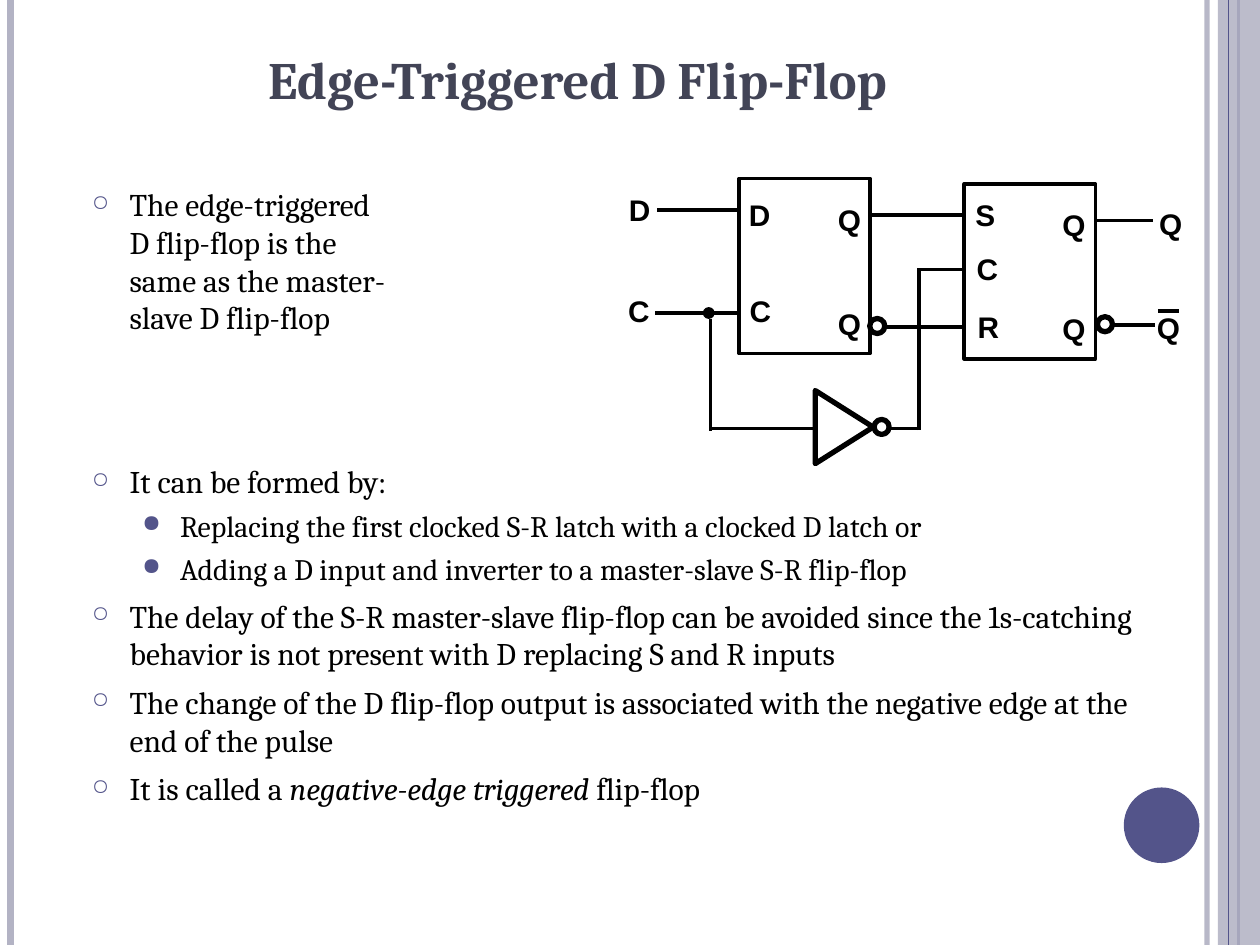
"""Build the slide on the edge-triggered D flip-flop."""
from typing import NamedTuple

from lxml.etree import SubElement
from pptx import Presentation
from pptx.dml.color import RGBColor
from pptx.enum.shapes import MSO_CONNECTOR as Connector, MSO_SHAPE as Shape
from pptx.enum.text import MSO_ANCHOR as Anchor, PP_ALIGN as Align
from pptx.oxml.ns import qn
from pptx.util import Pt

COLORS = {"ink": "000000", "title": "424456", "accent": "53548A", "band": "B3B3C4"}
PAGE_WIDTH, PAGE_HEIGHT = 720, 540
LATCH_WIDTH, LATCH_HEIGHT = 75, 100
BUBBLE = 8.6


class Wire(NamedTuple):
    x1: float
    y1: float
    x2: float
    y2: float
    width: float = 2.1
    color: str = "ink"
    opacity: int = 100


class Block(NamedTuple):
    kind: Shape
    left: float
    top: float
    width: float
    height: float
    fill: str = ""
    line_width: float = 0
    rotation: int = 0
    opacity: int = 100


class Label(NamedTuple):
    text: str
    left: float
    top: float


class Level(NamedTuple):
    bullet: str
    bullet_percent: int
    margin: float
    size: float
    space_before: float


class Point(NamedTuple):
    level: Level
    runs: tuple[str, ...]
    space_before: float = 0


MAIN = Level("○", 70, 21.6, 18, 6)
SUB = Level("●", 80, 50.4, 17, 4.2)

MARGIN_BANDS = [
    Wire(689.8, 0, 689.8, PAGE_HEIGHT, 3, "band", 93),
    Wire(6, 0, 6, PAGE_HEIGHT, 4.5, "band"),
    Wire(707.8, 0, 707.8, PAGE_HEIGHT, 1.5, "accent"),
]
SIDE_PANEL = Block(Shape.RECTANGLE, 696, 0, 24, PAGE_HEIGHT, "band", opacity=87)
PANEL_RULE = Wire(702, 0, 702, PAGE_HEIGHT, 0.75, "accent")
PAGE_DISC = Block(Shape.OVAL, 642.2, 450, 43.2, 43.2, "accent")

POINTS = [
    Point(MAIN, ("The edge-triggered\vD flip-flop is the\vsame as the master-\vslave D flip-flop",)),
    Point(MAIN, ("It can be formed by:",), 72),
    Point(SUB, ("Replacing the first clocked S-R latch with a clocked D latch or",)),
    Point(SUB, ("Adding a D input and inverter to a master-slave S-R flip-flop",)),
    Point(MAIN, ("The delay of the S-R master-slave flip-flop can be avoided since the "
                 "1s-catching behavior is not present with D replacing S and R inputs",)),
    Point(MAIN, ("The change of the D flip-flop output is associated with the negative "
                 "edge at the end of the pulse",)),
    Point(MAIN, ("It is called a ", "negative-edge triggered", " flip-flop")),
]

WIRES = [
    Wire(375.5, 119.9, 421, 119.9),
    Wire(374.5, 178.9, 406.5, 178.9),
    Wire(406.5, 178.9, 422.5, 178.9),
    Wire(406, 246.2, 406, 182.2, 2.25),
    Wire(405.5, 244.8, 466.5, 244.8),
    Wire(508.5, 244.8, 526, 244.8),
    Wire(525.2, 245.8, 525.2, 153.2),
    Wire(524.2, 154.1, 550.8, 154.1),
    Wire(496.2, 122.8, 550.8, 122.8),
    Wire(506.9, 187, 550.8, 187, 2.25),
    Wire(626, 126, 658.8, 126),
    Wire(635.8, 185.8, 660.2, 185.8, 2.25),
    Wire(661.7, 177.8, 673.9, 177.8, 2.25),
]
GATES = [
    Block(Shape.RECTANGLE, 422.3, 102, LATCH_WIDTH, LATCH_HEIGHT, line_width=2),
    Block(Shape.RECTANGLE, 551, 105.1, LATCH_WIDTH, LATCH_HEIGHT, line_width=2),
    Block(Shape.ISOSCELES_TRIANGLE, 461.5, 227.5, 41.8, 33.1, line_width=3, rotation=90),
    *(Block(Shape.OVAL, left, top, BUBBLE, BUBBLE, line_width=3)
      for left, top in [(499.5, 239.7), (497, 182), (627.1, 181)]),
    Block(Shape.OVAL, 402, 175.9, 6, 6, "ink", 0.75),
]
LABELS = [
    Label("D", 359.3, 109.6), Label("C", 358.9, 167.3),
    Label("D", 427.9, 112.3), Label("C", 428.4, 167.3),
    Label("Q", 478.8, 115.2), Label("Q", 478.8, 174.5),
    Label("S", 557.3, 112.3), Label("C", 558, 143.3), Label("R", 558.7, 176.4),
    Label("Q", 607, 118), Label("Q", 607, 177.6),
    Label("Q", 662.4, 117.4), Label("Q", 661, 177.1),
]


def rgb(name: str) -> RGBColor:
    """Look a colour up by its name."""
    return RGBColor.from_string(COLORS[name])


def set_opacity(properties, percent: int) -> None:
    """Give the first solid colour below these properties an opacity."""
    if percent < 100:
        color = next(properties.iter(qn("a:srgbClr")))
        SubElement(color, qn("a:alpha"), val=str(percent * 1000))


def draw_wire(slide, wire: Wire) -> None:
    """Draw one straight line without a shadow."""
    line = slide.shapes.add_connector(
        Connector.STRAIGHT, Pt(wire.x1), Pt(wire.y1), Pt(wire.x2), Pt(wire.y2))
    line.line.color.rgb = rgb(wire.color)
    line.line.width = Pt(wire.width)
    properties = line._element.spPr
    set_opacity(properties, wire.opacity)
    SubElement(properties, qn("a:effectLst"))


def draw_block(slide, block: Block) -> None:
    """Draw one preset shape, filled, outlined or both."""
    shape = slide.shapes.add_shape(
        block.kind, Pt(block.left), Pt(block.top), Pt(block.width), Pt(block.height))
    shape.shadow.inherit = False
    shape.rotation = block.rotation
    if block.fill:
        shape.fill.solid()
        shape.fill.fore_color.rgb = rgb(block.fill)
        set_opacity(shape._element.spPr, block.opacity)
    else:
        shape.fill.background()
    if block.line_width:
        shape.line.color.rgb = rgb("ink")
        shape.line.width = Pt(block.line_width)
    else:
        shape.line.fill.background()


def add_frame(slide, left: float, top: float, width: float, height: float,
              wrap: bool = True, inset: tuple[float, float] = (7.2, 3.6)):
    """Add a text box and return its text frame."""
    frame = slide.shapes.add_textbox(Pt(left), Pt(top), Pt(width), Pt(height)).text_frame
    frame.word_wrap = wrap
    frame.margin_left = frame.margin_right = Pt(inset[0])
    frame.margin_top = frame.margin_bottom = Pt(inset[1])
    return frame


def write(paragraph, text: str, *, size: float, font: str = "Cambria", color: str = "ink",
          bold: bool = False, italic: bool = False) -> None:
    """Append formatted text, breaking the line at each vertical tab."""
    for index, part in enumerate(text.split("\v")):
        if index:
            paragraph.add_line_break()
        run = paragraph.add_run()
        run.text = part
        run.font.size, run.font.name = Pt(size), font
        run.font.bold, run.font.italic = bold, italic
        run.font.color.rgb = rgb(color)


def write_point(paragraph, point: Point) -> None:
    """Write one bullet point, with every second run in italics."""
    level = point.level
    paragraph.level = int(level is SUB)
    paragraph.space_before = Pt(point.space_before or level.space_before)
    properties = paragraph._p.get_or_add_pPr()
    properties.set("marL", str(Pt(level.margin)))
    properties.set("indent", str(Pt(-21.6)))
    SubElement(SubElement(properties, qn("a:buClr")), qn("a:srgbClr"), val=COLORS["accent"])
    SubElement(properties, qn("a:buSzPct"), val=str(level.bullet_percent * 1000))
    SubElement(properties, qn("a:buChar"), char=level.bullet)
    for index, text in enumerate(point.runs):
        write(paragraph, text, size=level.size, italic=index % 2 == 1)


def main() -> None:
    """Build and save the slide."""
    deck = Presentation()
    deck.slide_width, deck.slide_height = Pt(PAGE_WIDTH), Pt(PAGE_HEIGHT)
    slide = deck.slides.add_slide(deck.slide_layouts[6])
    for band in MARGIN_BANDS:
        draw_wire(slide, band)
    draw_block(slide, SIDE_PANEL)
    draw_wire(slide, PANEL_RULE)
    draw_block(slide, PAGE_DISC)

    title = add_frame(slide, 36, 21.6, 588, 44.6)
    title.vertical_anchor = Anchor.BOTTOM
    title.paragraphs[0].alignment = Align.CENTER
    write(title.paragraphs[0], "Edge-Triggered D Flip-Flop", size=30, color="title", bold=True)

    body = add_frame(slide, 45.4, 102.2, 612, 385.2)
    for index, point in enumerate(POINTS):
        write_point(body.add_paragraph() if index else body.paragraphs[0], point)

    for wire in WIRES:
        draw_wire(slide, wire)
    for gate in GATES:
        draw_block(slide, gate)
    for label in LABELS:
        pin = add_frame(slide, label.left, label.top, 13.7, 20.2, wrap=False, inset=(0, 0))
        write(pin.paragraphs[0], label.text, size=17, font="Arial", bold=True)
    deck.save("out.pptx")


if __name__ == "__main__":
    main()
